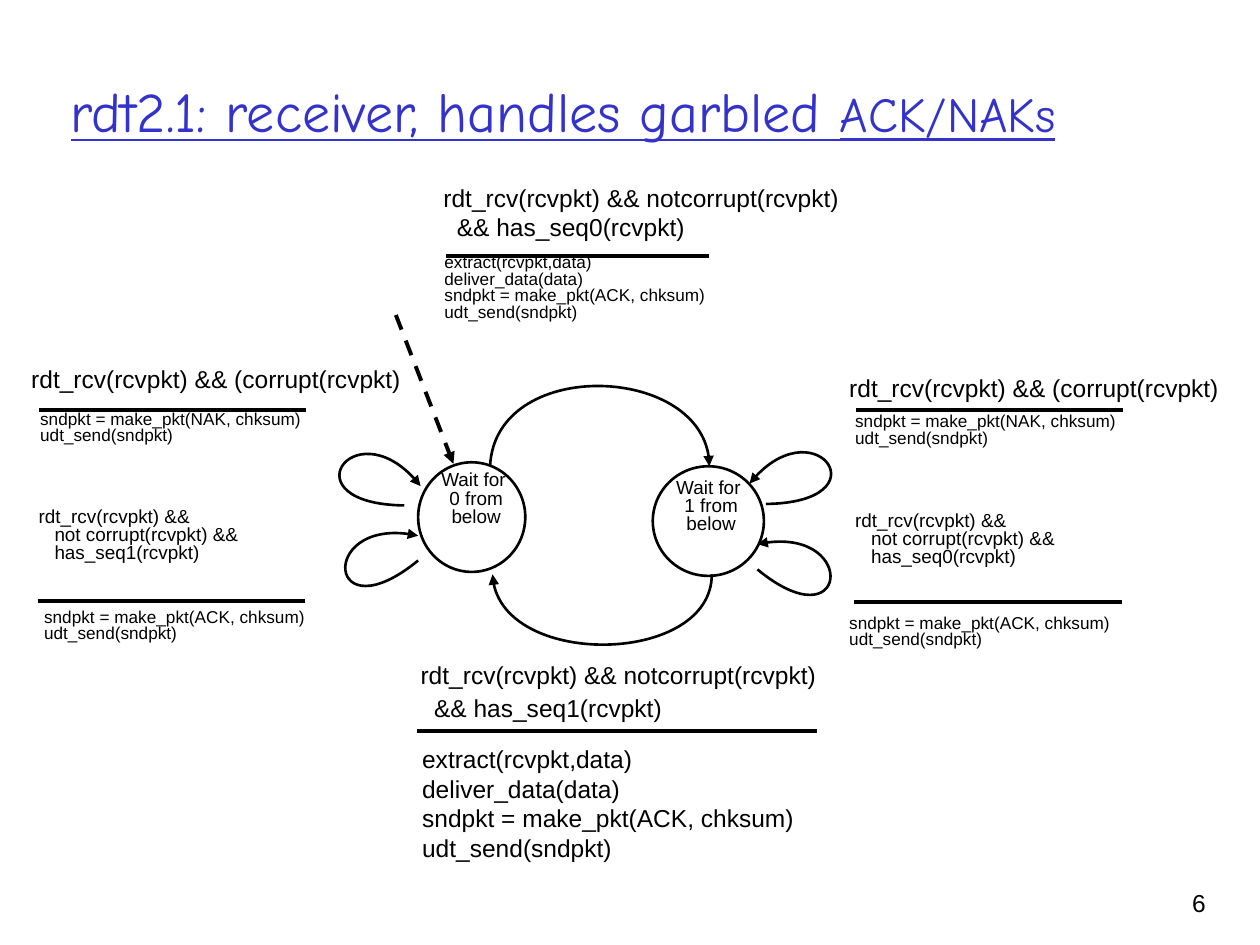
"""Build the rdt2.1 receiver state machine slide."""
from dataclasses import dataclass

from lxml import etree
from pptx import Presentation
from pptx.dml.color import RGBColor
from pptx.enum.dml import MSO_LINE
from pptx.enum.shapes import MSO_CONNECTOR, MSO_SHAPE
from pptx.enum.text import MSO_ANCHOR, MSO_AUTO_SIZE, PP_ALIGN
from pptx.oxml.ns import qn
from pptx.util import Cm, Pt

LEFT, CENTER, RIGHT = PP_ALIGN.LEFT, PP_ALIGN.CENTER, PP_ALIGN.RIGHT
TOP, MIDDLE = MSO_ANCHOR.TOP, MSO_ANCHOR.MIDDLE
NO_FIT, DASH = MSO_AUTO_SIZE.NONE, MSO_LINE.DASH
OVAL, STRAIGHT = MSO_SHAPE.OVAL, MSO_CONNECTOR.STRAIGHT
TITLE_ONLY = 5


@dataclass(frozen=True)
class Theme:
    """Hold the fonts, colours, type sizes and line weights."""
    title_font: str = "Comic Neue"
    font: str = "Arial"
    blue: RGBColor = RGBColor(0x33, 0x33, 0xCC)
    black: RGBColor = RGBColor(0, 0, 0)
    white: RGBColor = RGBColor(255, 255, 255)
    title: float = 32
    title_small: float = 28
    spacer: float = 16
    large: float = 14
    medium: float = 10.8
    small: float = 9.8
    tight: float = 0.8
    thin: float = 1.5
    thick: float = 2.25


THEME = Theme()
LARGE = {"size": THEME.large}
MEDIUM = {"size": THEME.medium, "spacing": THEME.tight}
SMALL = {"size": THEME.small, "spacing": THEME.tight}

TITLE = [[("rdt2.1: receiver, handles garbled ", THEME.title),
          ("ACK/NAKs", THEME.title_small)]]
CORRUPT = ["rdt_rcv(rcvpkt) && (corrupt(rcvpkt)"]
INTACT = "rdt_rcv(rcvpkt) && notcorrupt(rcvpkt)"
SEND_NAK = ["sndpkt = make_pkt(NAK, chksum)", "udt_send(sndpkt)"]
SEND_ACK = ["sndpkt = make_pkt(ACK, chksum)", "udt_send(sndpkt)"]
DELIVER = ["extract(rcvpkt,data)", "deliver_data(data)"] + SEND_ACK


def duplicate(number):
    """Return the condition for a repeated packet."""
    return ["rdt_rcv(rcvpkt) &&", "not corrupt(rcvpkt) &&",
            f"has_seq{number}(rcvpkt)"]


LABELS = [
    ((8.69, 3.56, 11.05, 1.6), [INTACT, "&& has_seq0(rcvpkt)"], {**LARGE, "indent": 0.27}),
    ((8.71, 5.03, 9.65, 1.96), DELIVER, SMALL),
    ((8.23, 13.18, 9.96, 1.57),
     [INTACT, [("&& has_seq1(rcvpkt)", THEME.large), (" ", THEME.spacer)]],
     {**LARGE, "indent": 0.27}),
    ((8.26, 14.88, 10.69, 2.77), DELIVER, LARGE),
    ((0.38, 7.21, 8.1, 1.7), CORRUPT, LARGE),
    ((0.56, 8.18, 8.41, 1.14), SEND_NAK, SMALL),
    ((0.53, 10.13, 7.29, 1.7), duplicate(1), {**MEDIUM, "indent": 0.32}),
    ((0.64, 12.17, 8.18, 1.14), SEND_ACK, SMALL),
    ((16.87, 7.39, 8.1, 1.7), CORRUPT, LARGE),
    ((16.99, 8.23, 8.41, 1.14), SEND_NAK, SMALL),
    ((16.99, 10.21, 7.29, 1.7), duplicate(0), {**MEDIUM, "indent": 0.32}),
    ((16.87, 12.29, 8.18, 1.14), SEND_ACK, SMALL),
    ((22.68, 17.78, 1.88, 1.27), ["6"], {**LARGE, "align": RIGHT}),
]
STATES = [
    ((8.43, 9.32, 2.16, 2.21), (8.48, 9.4, 2.24, 1.7), "0 from below"),
    ((13.16, 9.4, 2.24, 2.21), (13.23, 9.55, 2.21, 1.7), "1 from below"),
]
RULES = [
    (8.99, 5.16, 14.3), (8.41, 14.73, 16.46),
    (0.79, 8.26, 6.17), (0.76, 12.12, 6.15),
    (17.25, 8.26, 22.63), (17.22, 12.14, 22.61),
]
START_ARROW = (7.98, 6.35, 9.14, 9.35)
CURVES = [
    [(9.88, 9.4), (9.98, 7.21), (14.3, 7.34), (14.3, 9.4)],
    [(14.35, 11.58), (14.35, 13.39), (10.01, 13.49), (9.93, 11.58)],
    [(15.44, 10.16), (17.81, 10.13), (16.41, 8.13), (15.11, 9.75)],
    [(15.27, 11.48), (17.09, 12.98), (17.32, 10.54), (15.27, 10.97)],
    [(8.43, 11.3), (6.6, 12.8), (6.4, 10.36), (8.43, 10.8)],
    [(8.15, 10.19), (5.79, 10.16), (7.19, 8.15), (8.48, 9.8)],
]


def centimetres(values):
    """Convert a sequence of numbers to lengths."""
    return [Cm(value) for value in values]


def write(box, lines, *, size, font=THEME.font, color=THEME.black, align=LEFT,
          anchor=TOP, spacing=1.0, indent=0, underline=False):
    """Fill a box with formatted lines, indenting all after the first."""
    frame = box.text_frame
    frame.word_wrap = True
    frame.auto_size = NO_FIT
    frame.vertical_anchor = anchor
    for index, line in enumerate(lines):
        para = frame.paragraphs[0] if index == 0 else frame.add_paragraph()
        para.alignment = align
        para.line_spacing = spacing
        if index and indent:
            para._p.get_or_add_pPr().set("marL", str(Cm(indent)))
        for text, points in [(line, size)] if isinstance(line, str) else line:
            span = para.add_run()
            span.text = text
            span.font.name = font
            span.font.size = Pt(points)
            span.font.color.rgb = color
            span.font.underline = underline


def outline(shape, weight, arrow=False):
    """Give a shape a black line, with an arrowhead at its end if asked."""
    shape.line.color.rgb = THEME.black
    shape.line.width = Pt(weight)
    if arrow:
        etree.SubElement(shape.line._get_or_add_ln(), qn("a:tailEnd"), type="triangle")


def add_line(page, ends, dash=None, arrow=False):
    """Draw a thick straight line."""
    line = page.shapes.add_connector(STRAIGHT, *centimetres(ends))
    line.line.dash_style = dash
    outline(line, THEME.thick, arrow)
    etree.SubElement(line._element.spPr, qn("a:effectLst"))


def add_curve(page, points):
    """Draw a cubic curve with an arrowhead from four control points."""
    start, *rest = [centimetres(point) for point in points]
    builder = page.shapes.build_freeform(*start)
    builder.add_line_segments(rest, close=False)
    curve = builder.convert_to_shape()
    route = next(curve._element.iter(qn("a:path")))
    segments = route.findall(qn("a:lnTo"))
    bezier = etree.SubElement(route, qn("a:cubicBezTo"))
    for segment in segments:
        bezier.append(segment[0])
        route.remove(segment)
    curve.fill.background()
    curve.shadow.inherit = False
    outline(curve, THEME.thin, arrow=True)


def add_label(page, place, lines, **style):
    """Add a text box holding the lines."""
    write(page.shapes.add_textbox(*centimetres(place)), lines, **style)


def main():
    """Compose and save the slide."""
    deck = Presentation()
    deck.slide_width, deck.slide_height = Cm(25.4), Cm(19.05)
    page = deck.slides.add_slide(deck.slide_layouts[TITLE_ONLY])
    title = page.shapes.title
    title.left, title.top, title.width, title.height = centimetres((1.17, 0.64, 23.11, 3.18))
    write(title, TITLE, size=THEME.title, font=THEME.title_font,
          color=THEME.blue, anchor=MIDDLE, underline=True)
    for circle, place, name in STATES:
        state = page.shapes.add_shape(OVAL, *centimetres(circle))
        state.shadow.inherit = False
        state.fill.solid()
        state.fill.fore_color.rgb = THEME.white
        outline(state, THEME.thin)
        add_label(page, place, ["Wait for ", name], align=CENTER, **MEDIUM)
    add_line(page, START_ARROW, dash=DASH, arrow=True)
    for points in CURVES:
        add_curve(page, points)
    for left, height, right in RULES:
        add_line(page, (left, height, right, height))
    for place, lines, style in LABELS:
        add_label(page, place, lines, **style)
    deck.save("out.pptx")


if __name__ == "__main__":
    main()
